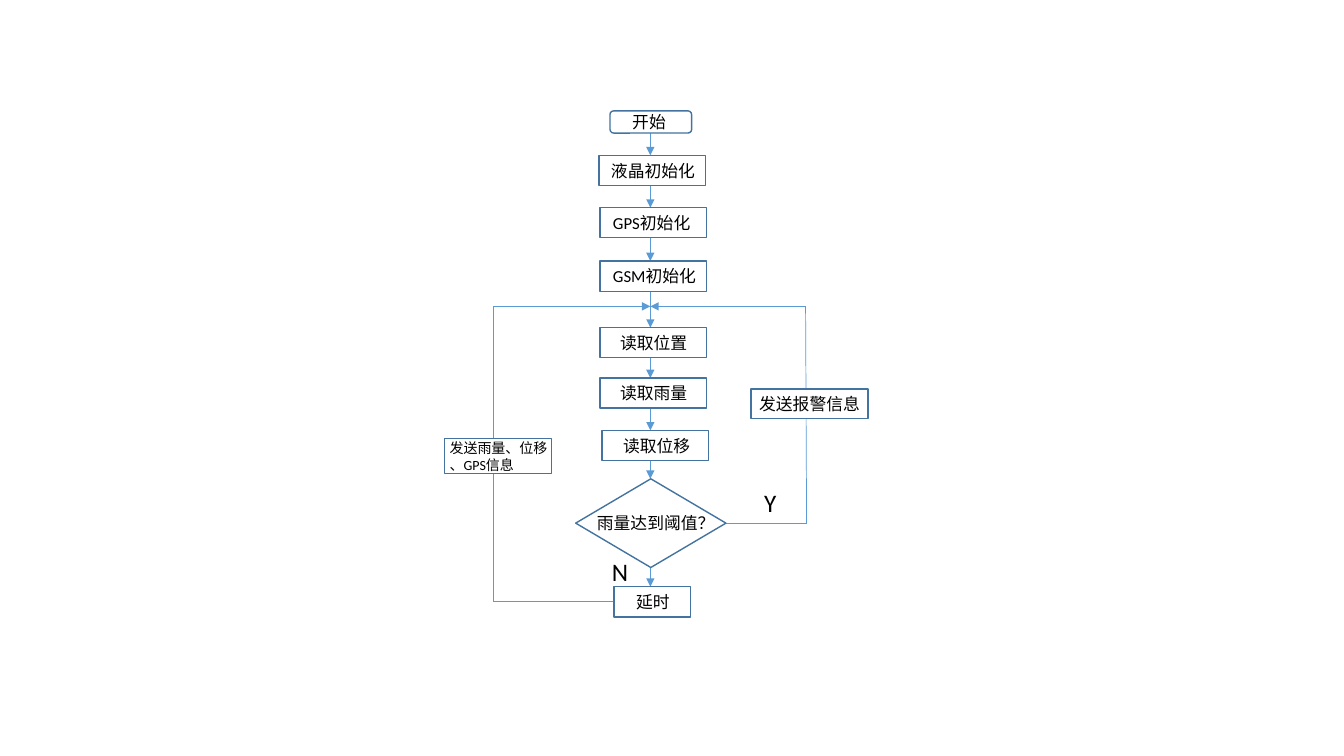
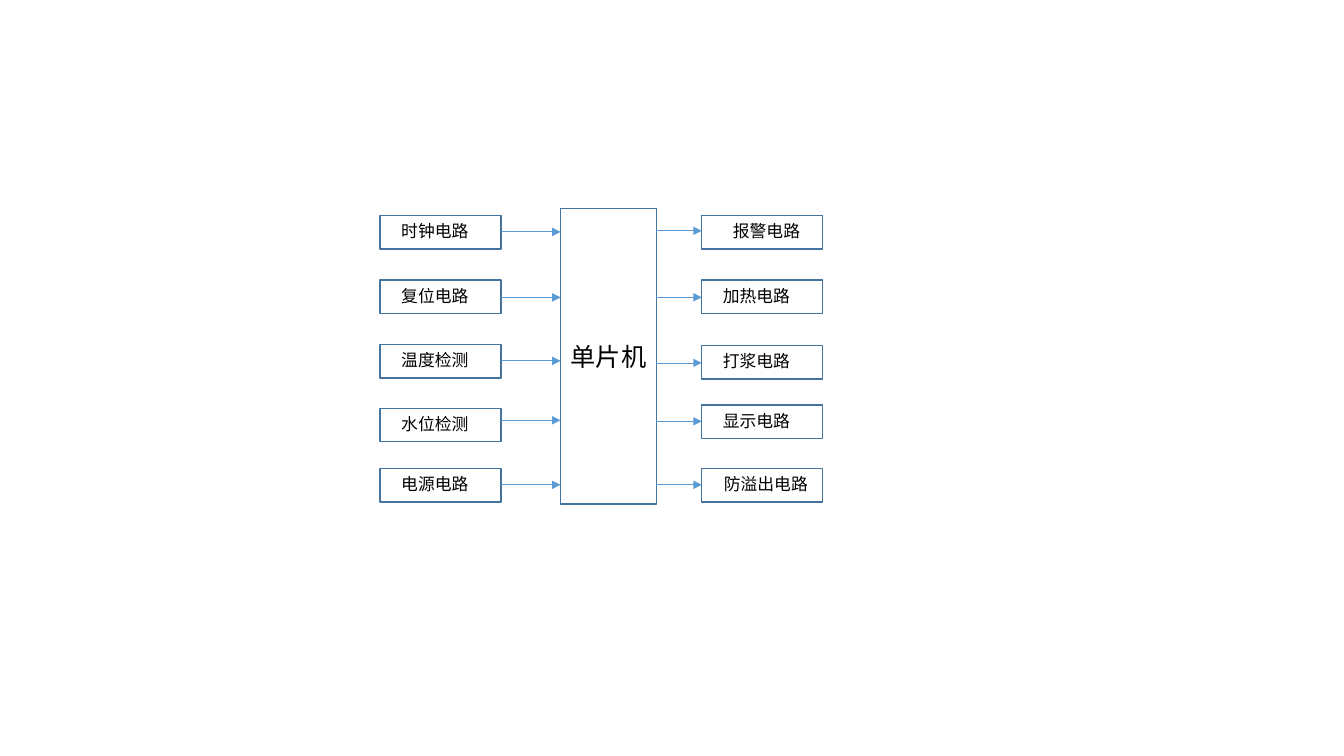
"""Build two diagrams: a monitoring flowchart and a controller block diagram."""
from itertools import pairwise

from pptx import Presentation
from pptx.dml.color import RGBColor
from pptx.enum.shapes import MSO_CONNECTOR, MSO_SHAPE as SHAPE
from pptx.enum.text import MSO_ANCHOR, PP_ALIGN
from pptx.oxml.ns import qn
from pptx.util import Inches, Pt

FONT = "Calibri"
WHITE, BLACK, BORDER, ARROW = "FFFFFF", "000000", "43739E", "5B9BD5"
RECT, ROUND, DIAMOND = SHAPE.RECTANGLE, SHAPE.ROUNDED_RECTANGLE, SHAPE.DIAMOND

STEPS = [
    ("开始", ROUND, (6.05, 1.1, 0.81, 0.22), 0.21),
    ("液晶初始化", RECT, (5.94, 1.54, 1.06, 0.3), 0.12),
    ("GPS初始化", RECT, (5.95, 2.06, 1.06, 0.3), 0.13),
    ("GSM初始化", RECT, (5.95, 2.59, 1.06, 0.3), 0.13),
    ("读取位置", RECT, (5.95, 3.25, 1.06, 0.3), 0.2),
    ("读取雨量", RECT, (5.95, 3.75, 1.06, 0.3), 0.2),
    ("读取位移", RECT, (5.97, 4.27, 1.06, 0.3), 0.21),
    ("雨量达到阈值？", DIAMOND, (5.71, 4.75, 1.49, 0.88), None),
    ("延时", RECT, (6.09, 5.82, 0.76, 0.3), 0.22),
]
ALARM = ("发送报警信息", (7.45, 3.86, 1.16, 0.29), 0.08)
REPORT = ("发送雨量、位移\n、GPS信息", (4.41, 4.35, 1.06, 0.35), 0.05)
BRANCHES = [("N", (5.97, 5.47, 0.41, 0.4)), ("Y", (7.48, 4.79, 0.33, 0.4))]
SPINE_X, MERGE_Y = 6.45, 3.04
LOOPS = [
    [(6.09, 5.97), (4.89, 5.97), (4.89, MERGE_Y), (SPINE_X, MERGE_Y)],
    [(7.19, 5.19), (8, 5.19), (7.99, MERGE_Y), (SPINE_X, MERGE_Y)],
]

CONTROLLER = ("单片机", (5.56, 2.07, 0.95, 2.93))
INPUTS = [
    ("时钟电路", 2.14, 2.3, 0.21),
    ("复位电路", 2.78, 2.95, 0.21),
    ("温度检测", 3.42, 3.58, 0.21),
    ("水位检测", 4.05, 4.17, 0.21),
    ("电源电路", 4.65, 4.81, 0.21),
]
OUTPUTS = [
    ("报警电路", 2.14, 2.29, 0.31),
    ("加热电路", 2.78, 2.95, 0.21),
    ("打浆电路", 3.43, 3.6, 0.21),
    ("显示电路", 4.02, 4.18, 0.21),
    ("防溢出电路", 4.65, 4.81, 0.22),
]
INPUT_X, OUTPUT_X = 3.77, 6.96
CIRCUIT_W, CIRCUIT_H = 1.2, 0.33


def color(value):
    return RGBColor.from_string(value)


def write(holder, text, size, align):
    frame = holder.text_frame
    frame.text = text
    for paragraph in frame.paragraphs:
        paragraph.alignment = align
        for run in paragraph.runs:
            run.font.name, run.font.size = FONT, Pt(size)
            run.font.color.rgb = color(BLACK)
    return frame


def box(slide, text, place, indent=None, kind=RECT, size=12, lift=0):
    node = slide.shapes.add_shape(kind, *map(Inches, place))
    node.shadow.inherit = False
    node.fill.solid()
    node.fill.fore_color.rgb = color(WHITE)
    node.line.color.rgb = color(BORDER)
    node.line.width = Pt(1)
    centred = indent is None
    frame = write(node, text, size, PP_ALIGN.CENTER if centred else PP_ALIGN.LEFT)
    frame.word_wrap = not centred
    frame.vertical_anchor = MSO_ANCHOR.MIDDLE
    frame.margin_left = Inches(indent or 0)
    frame.margin_right = frame.margin_top = 0
    frame.margin_bottom = Inches(lift)
    return node


def label(slide, text, place):
    caption = slide.shapes.add_textbox(*map(Inches, place))
    write(caption, text, 18, PP_ALIGN.LEFT).word_wrap = True


def route(slide, points):
    for start, end in pairwise(points):
        link = slide.shapes.add_connector(
            MSO_CONNECTOR.STRAIGHT, *map(Inches, (*start, *end)))
        link.line.color.rgb = color(ARROW)
        link.line.width = Pt(0.5)
        props = link._element.spPr
        props.append(props.makeelement(qn("a:effectLst"), {}))
    outline = link.line._get_or_add_ln()
    outline.append(outline.makeelement(qn("a:tailEnd"), {"type": "triangle"}))


def flowchart(slide):
    for loop in LOOPS:
        route(slide, loop)
    for (_, _, upper, _), (_, _, lower, _) in pairwise(STEPS):
        route(slide, [(SPINE_X, upper[1] + upper[3]), (SPINE_X, lower[1])])
    for text, kind, place, indent in STEPS:
        step = box(slide, text, place, indent, kind)
        if kind == DIAMOND:
            step.text_frame.margin_left = Inches(0.1)
    box(slide, *ALARM)
    box(slide, *REPORT, size=10)
    for text, place in BRANCHES:
        label(slide, text, place)


def block_diagram(slide):
    name, place = CONTROLLER
    box(slide, name, place, size=18)
    left, right = place[0], place[0] + place[2]
    sides = [
        (INPUTS, INPUT_X, INPUT_X + CIRCUIT_W, left),
        (OUTPUTS, OUTPUT_X, right, OUTPUT_X),
    ]
    for circuits, x, start, end in sides:
        for text, top, arrow_y, indent in circuits:
            box(slide, text, (x, top, CIRCUIT_W, CIRCUIT_H), indent, lift=0.03)
            route(slide, [(start, arrow_y), (end, arrow_y)])


def main():
    deck = Presentation()
    deck.slide_width, deck.slide_height = Inches(13.33), Inches(7.5)
    for draw in (flowchart, block_diagram):
        draw(deck.slides.add_slide(deck.slide_layouts[6]))
    deck.save("out.pptx")


if __name__ == "__main__":
    main()
